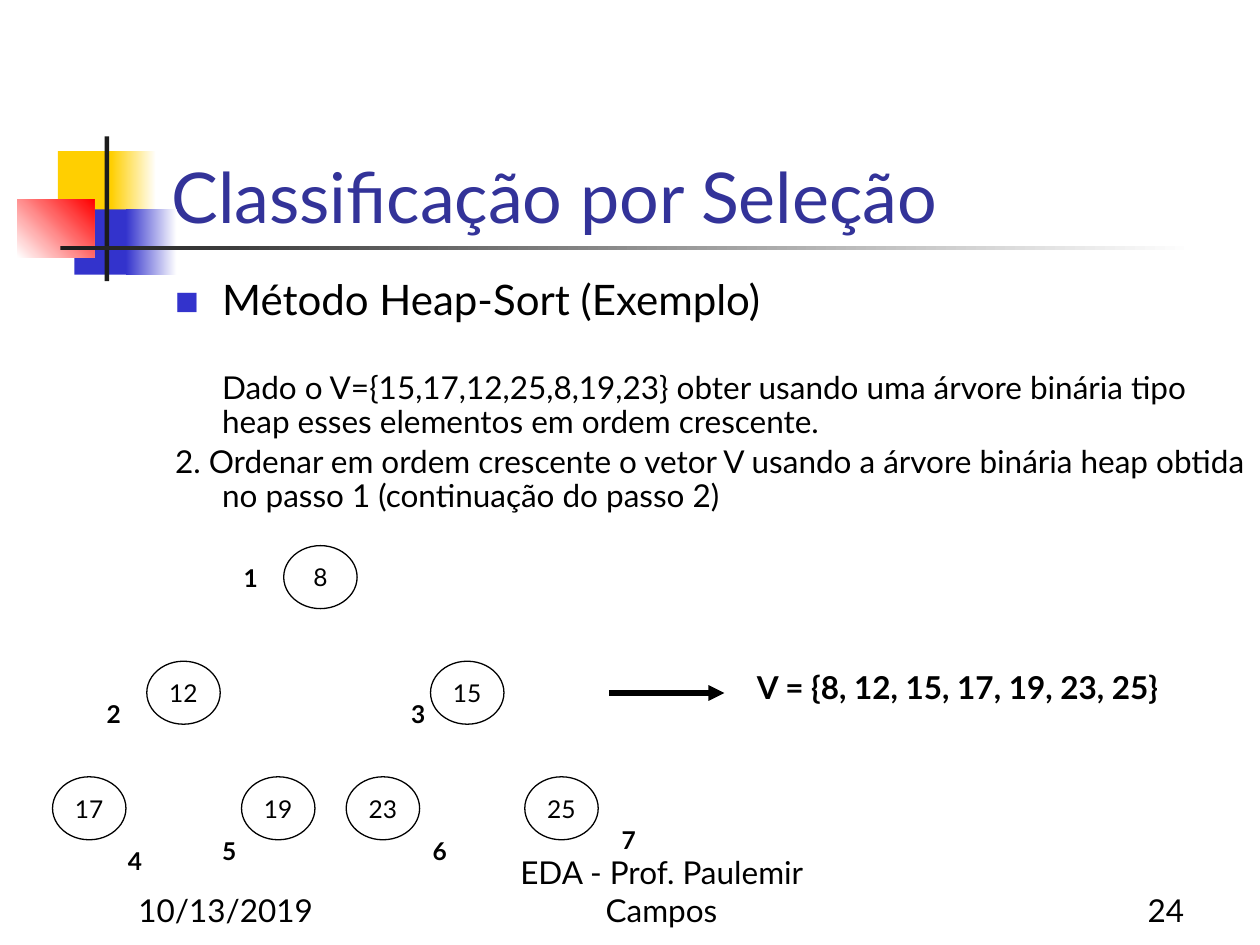
from lxml.etree import SubElement
from pptx import Presentation
from pptx.dml.color import RGBColor
from pptx.enum.shapes import MSO_CONNECTOR, MSO_SHAPE
from pptx.enum.text import MSO_ANCHOR, PP_ALIGN
from pptx.oxml.ns import qn
from pptx.util import Cm, Pt

COLORS = {
    "yellow": "FFCF01", "blue": "3333CC", "red": "FF0000", "white": "FFFFFF",
    "dark": "1C1C1C", "title": "333399", "text": "000000",
}
FONT = "Lato"


def add_run(paragraph, text, size, color="text", bold=False):
    run = paragraph.add_run()
    run.text = text
    run.font.name = FONT
    run.font.size = Pt(size)
    run.font.bold = bold
    run.font.color.rgb = RGBColor.from_string(COLORS[color])


def add_text(left, top, width, height, text, size, align=PP_ALIGN.LEFT,
             anchor=MSO_ANCHOR.TOP, bold=False, wrap=True):
    """Add a text box with one paragraph; lengths are in centimetres."""
    box = slide.shapes.add_textbox(Cm(left), Cm(top), Cm(width), Cm(height))
    frame = box.text_frame
    frame.word_wrap = wrap
    frame.vertical_anchor = anchor
    paragraph = frame.paragraphs[0]
    paragraph.alignment = align
    add_run(paragraph, text, size, bold=bold)
    return frame


presentation = Presentation()
presentation.slide_width = Cm(25.4)
presentation.slide_height = Cm(19.05)
slide = presentation.slides.add_slide(presentation.slide_layouts[5])

# Decoration: left, top, width, height, colours (two make a gradient), angle
decoration = [
    (1.17, 3.05, 1.22, 1.32, ["yellow"], 0),
    (2.24, 3.05, 0.91, 1.32, ["yellow", "white"], 0),
    (1.5, 4.22, 1.17, 1.32, ["blue"], 0),
    (2.54, 4.22, 1.02, 1.32, ["blue", "white"], 0),
    (0.35, 4.02, 1.55, 1.17, ["white", "red"], 45),
    (2.11, 2.75, 0.09, 2.92, ["dark"], 0),
    (1.22, 4.95, 22.86, 0.09, ["dark", "white"], 0),
]
for left, top, width, height, names, angle in decoration:
    block = slide.shapes.add_shape(
        MSO_SHAPE.RECTANGLE, Cm(left), Cm(top), Cm(width), Cm(height))
    block.shadow.inherit = False
    block.line.fill.background()
    if len(names) == 1:
        block.fill.solid()
        block.fill.fore_color.rgb = RGBColor.from_string(COLORS[names[0]])
    else:
        block.fill.gradient()
        block.fill.gradient_angle = angle
        for stop, name in zip(block.fill.gradient_stops, names):
            stop.color.rgb = RGBColor.from_string(COLORS[name])

# Title
title = slide.shapes.title
title.left, title.top, title.width, title.height = Cm(3.2), Cm(1.73), Cm(21.64), Cm(3.18)
title.text_frame.vertical_anchor = MSO_ANCHOR.BOTTOM
title.text_frame.paragraphs[0].alignment = PP_ALIGN.LEFT
add_run(title.text_frame.paragraphs[0], "Classificação por Seleção", 40, "title")

# Body: first paragraph has the square bullet
body = add_text(3.28, 5.51, 22.12, 4.78, "Método Heap-Sort (Exemplo)", 24)
statements = [
    ("Dado o V={15,17,12,25,8,19,23} obter usando uma árvore binária tipo heap "
     "esses elementos em ordem crescente.", 27),
    ("2. Ordenar em ordem crescente o vetor V usando a árvore binária heap obtida "
     "no passo 1 (continuação do passo 2)", 3.6),
]
for text, space_before in statements:
    paragraph = body.add_paragraph()
    paragraph.space_before = Pt(space_before)
    add_run(paragraph, text, 18)
for paragraph, indent in zip(body.paragraphs, [-0.95, 0, -0.95]):
    paragraph.line_spacing = 0.9
    properties = paragraph._p.get_or_add_pPr()
    properties.set("marL", str(Cm(0.95)))
    properties.set("indent", str(Cm(indent)))
bullet = body.paragraphs[0]._p.get_or_add_pPr()
SubElement(SubElement(bullet, qn("a:buClr")), qn("a:srgbClr"), val=COLORS["blue"])
SubElement(bullet, qn("a:buSzPct"), val="60000")
SubElement(bullet, qn("a:buFont"), typeface=FONT)
SubElement(bullet, qn("a:buChar"), char="■")

# Heap: each level lists node value, node left, label left, label top
levels = [
    [(8, 5.72, 4.66, 11.22)],
    [(12, 2.96, 1.9, 13.97), (15, 8.68, 8.04, 13.97)],
    [(17, 1.06, 2.33, 16.93), (19, 4.87, 4.23, 16.72),
     (23, 6.98, 8.47, 16.72), (25, 10.58, 12.28, 16.51)],
]
position = 1
for depth, nodes in enumerate(levels):
    for value, left, label_left, label_top in nodes:
        node = slide.shapes.add_shape(
            MSO_SHAPE.OVAL, Cm(left), Cm(11 + 2.33 * depth), Cm(1.48), Cm(1.27))
        node.shadow.inherit = False
        node.fill.background()
        node.line.color.rgb = RGBColor.from_string(COLORS["text"])
        node.line.width = Pt(0.75)
        node.text_frame.word_wrap = False
        node.text_frame.vertical_anchor = MSO_ANCHOR.MIDDLE
        node.text_frame.paragraphs[0].alignment = PP_ALIGN.CENTER
        add_run(node.text_frame.paragraphs[0], str(value), 14)
        add_text(label_left, label_top, 0.64, 0.85, str(position), 14,
                 PP_ALIGN.CENTER, bold=True)
        position += 1

# Arrow to the sorted vector
arrow = slide.shapes.add_connector(
    MSO_CONNECTOR.STRAIGHT, Cm(12.28), Cm(13.97), Cm(14.6), Cm(13.97))
arrow.line.color.rgb = RGBColor.from_string(COLORS["text"])
arrow.line.width = Pt(3)
SubElement(arrow.line._get_or_add_ln(), qn("a:tailEnd"), type="triangle")
SubElement(arrow._element.spPr, qn("a:effectLst"))
add_text(15.01, 13.34, 10.21, 1.02, "V = {8, 12, 15, 17, 19, 23, 25}", 18,
         bold=True, wrap=False)

# Footer
footer = [
    (2.54, 5.28, "10/13/2019", PP_ALIGN.LEFT),
    (9.31, 8.05, "EDA - Prof. Paulemir Campos", PP_ALIGN.CENTER),
    (18.84, 5.28, "24", PP_ALIGN.RIGHT),
]
for left, width, text, align in footer:
    add_text(left, 17.57, width, 1.27, text, 18, align, MSO_ANCHOR.BOTTOM)

presentation.save("out.pptx")
